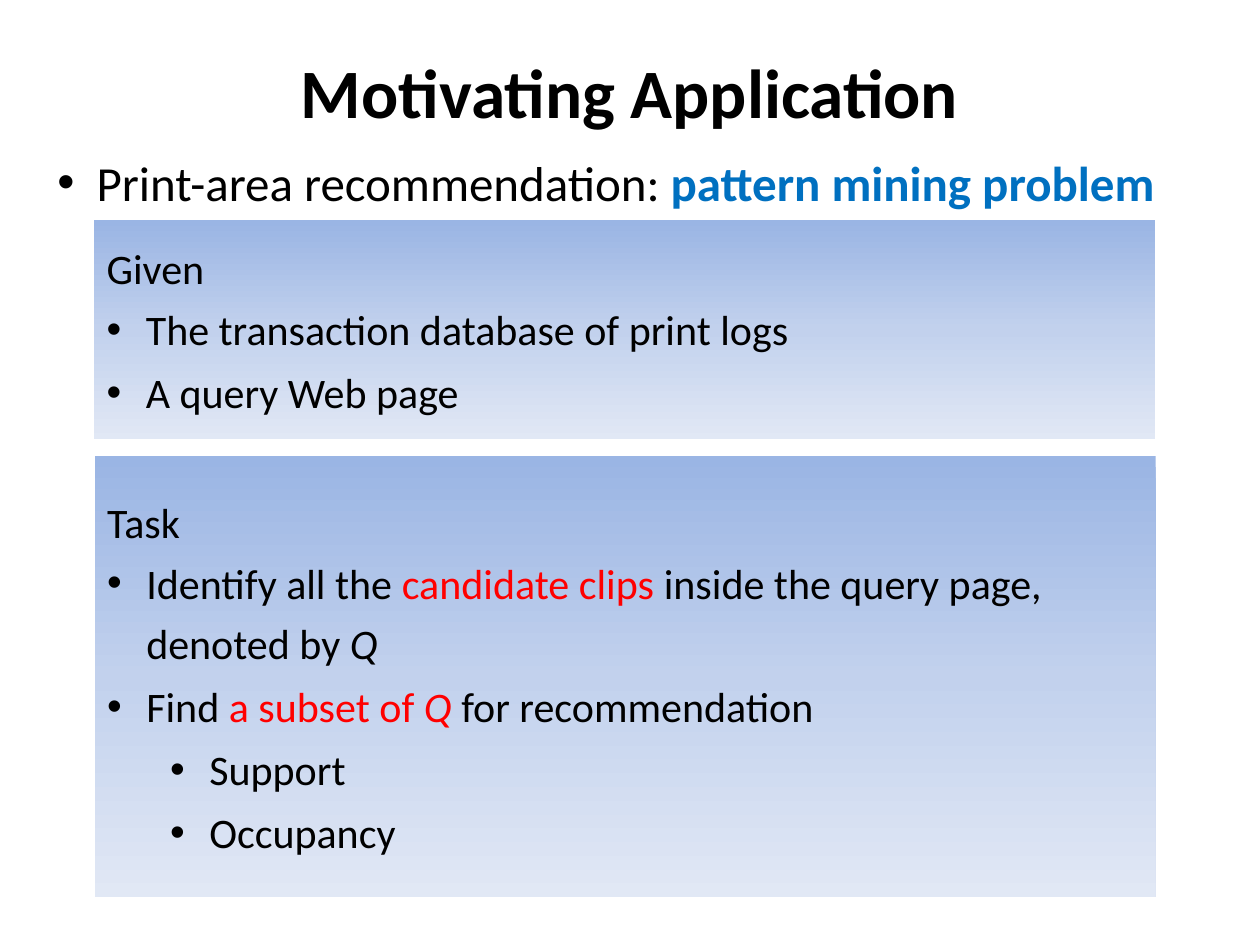
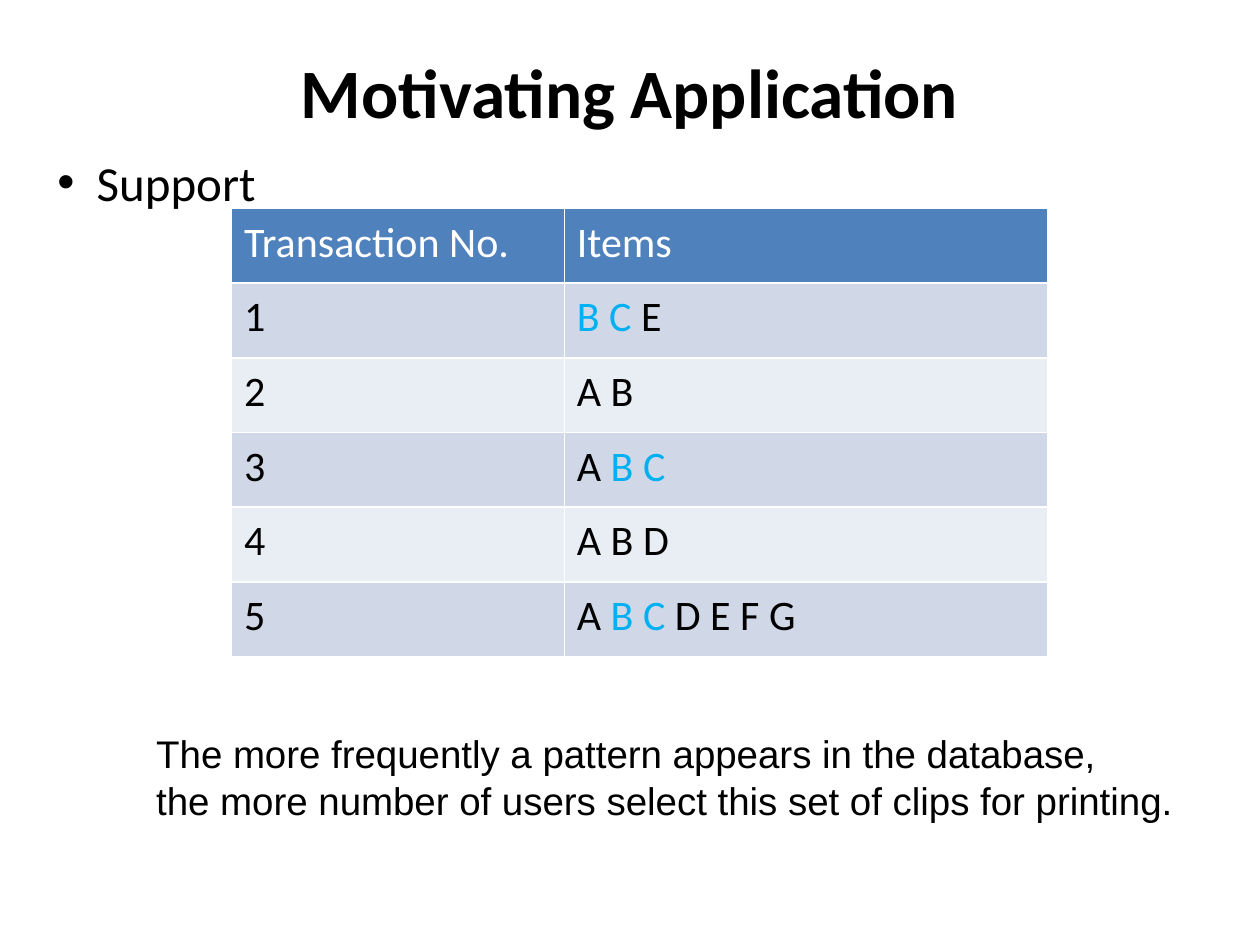
from copy import deepcopy

from lxml import etree
from pptx import Presentation
from pptx.dml.color import RGBColor
from pptx.enum import shapes, text
from pptx.oxml import ns
from pptx.util import Cm, Pt

COLORS = {
    "text": "000000",
    "white": "FFFFFF",
    "blue": "0070C0",
    "red": "FF0000",
    "cyan": "00B0F0",
    "header": "4F81BD",
    "odd_row": "D0D8E8",
    "even_row": "E9EDF4",
}
PANEL_GRADIENT = ["9AB5E4", "C2D1ED", "E1E8F5"]
TITLE_BOX = (0.91, 1.24, 23.57, 1.19)
BODY_BOX = (0.91, 2.95, 23.47, 12.85)
INDENT = 0.79
LEVEL_STEP = 1.27


def rgb(name):
    return RGBColor.from_string(COLORS[name])


def add_runs(paragraph, runs, size, font="Calibri"):
    """Each run is (words, color name, style), where style may hold b and i."""
    for words, color, style in runs:
        run = paragraph.add_run()
        run.text = words
        run.font.name = font
        run.font.size = Pt(size)
        run.font.bold = "b" in style
        run.font.italic = "i" in style
        run.font.color.rgb = rgb(color)


def plain(words, color="text"):
    return [(words, color, "")]


def add_bullet(paragraph, level=0):
    properties = paragraph._p.get_or_add_pPr()
    properties.set("marL", str(Cm(INDENT + level * LEVEL_STEP)))
    properties.set("indent", str(-Cm(INDENT)))
    etree.SubElement(properties, ns.qn("a:buFont"), typeface="Arial")
    etree.SubElement(properties, ns.qn("a:buChar"), char="•")


def add_text_frame(slide, box):
    frame = slide.shapes.add_textbox(*map(Cm, box)).text_frame
    frame.word_wrap = True
    return frame


def add_slide(presentation, title, topic_runs):
    """Blank slide with the shared title and its leading bullet."""
    slide = presentation.slides.add_slide(presentation.slide_layouts[6])
    title_frame = add_text_frame(slide, TITLE_BOX)
    title_frame.vertical_anchor = text.MSO_ANCHOR.MIDDLE
    heading = title_frame.paragraphs[0]
    heading.alignment = text.PP_ALIGN.CENTER
    add_runs(heading, [(title, "text", "b")], 39.6)

    topic = add_text_frame(slide, BODY_BOX).paragraphs[0]
    add_bullet(topic)
    add_runs(topic, topic_runs, 28)
    return slide


def fill_gradient(shape):
    shape.fill.gradient()
    shape.fill.gradient_angle = 270
    stop_list = shape._element.spPr.find(".//" + ns.qn("a:gsLst"))
    stop_list.append(deepcopy(stop_list[0]))
    for index, stop in enumerate(shape.fill.gradient_stops):
        stop.position = index / 2
        stop.color.rgb = RGBColor.from_string(PANEL_GRADIENT[index])


def add_panel(slide, box, heading, bullets):
    """Gradient panel; each bullet is (level, runs)."""
    panel = slide.shapes.add_shape(shapes.MSO_SHAPE.RECTANGLE, *map(Cm, box))
    panel.shadow.inherit = False
    panel.line.fill.background()
    fill_gradient(panel)
    frame = panel.text_frame
    frame.word_wrap = True
    frame.vertical_anchor = text.MSO_ANCHOR.MIDDLE
    frame.paragraphs[0].alignment = text.PP_ALIGN.LEFT
    add_runs(frame.paragraphs[0], plain(heading), 24)
    for level, runs in bullets:
        paragraph = frame.add_paragraph()
        paragraph.alignment = text.PP_ALIGN.LEFT
        paragraph.line_spacing = 1.2
        paragraph.space_after = Pt(1.4)
        add_bullet(paragraph, level)
        add_runs(paragraph, runs, 24)


def add_cell_borders(cell):
    properties = cell._tc.get_or_add_tcPr()
    for side in "LRTB":
        line = etree.SubElement(properties, ns.qn("a:ln" + side), w=str(Pt(1)))
        fill = etree.SubElement(line, ns.qn("a:solidFill"))
        etree.SubElement(fill, ns.qn("a:srgbClr"), val=COLORS["white"])


def add_transaction_table(slide, box, column_widths, header, transactions):
    rows = [[plain(label, "white") for label in header]]
    rows += [[plain(str(number)), items]
             for number, items in enumerate(transactions, 1)]
    frame = slide.shapes.add_table(len(rows), len(header), *map(Cm, box))
    table = frame.table
    table.first_row = table.horz_banding = False
    for column, width in zip(table.columns, column_widths):
        column.width = Cm(width)
    for row_index, row in enumerate(rows):
        band = "odd_row" if row_index % 2 else "even_row"
        for column_index, runs in enumerate(row):
            cell = table.cell(row_index, column_index)
            cell.margin_left = cell.margin_right = Cm(0.25)
            cell.margin_top = cell.margin_bottom = Cm(0.18)
            add_cell_borders(cell)
            cell.fill.solid()
            cell.fill.fore_color.rgb = rgb(band if row_index else "header")
            add_runs(cell.text_frame.paragraphs[0], runs, 24)


def add_note(slide, box, lines):
    frame = add_text_frame(slide, box)
    for index, line in enumerate(lines):
        paragraph = frame.add_paragraph() if index else frame.paragraphs[0]
        paragraph.alignment = text.PP_ALIGN.JUSTIFY
        add_runs(paragraph, plain(line), 22, "Arial")


def build_problem_slide(presentation, title):
    slide = add_slide(presentation, title, [
        ("Print-area recommendation: ", "text", ""),
        ("pattern mining problem", "blue", "b"),
    ])
    add_panel(slide, (1.9, 4.44, 21.39, 4.42), "Given", [
        (0, plain("The transaction database of print logs")),
        (0, plain("A query Web page")),
    ])
    add_panel(slide, (1.91, 9.2, 21.39, 8.89), "Task", [
        (0, [("Identify all the ", "text", ""),
             ("candidate clips", "red", ""),
             (" inside the query page, denoted by ", "text", ""),
             ("Q", "text", "i")]),
        (0, [("Find ", "text", ""),
             ("a subset of ", "red", ""),
             ("Q ", "red", "i"),
             ("for recommendation", "text", "")]),
        (1, plain("Support")),
        (1, plain("Occupancy")),
    ])


def build_support_slide(presentation, title):
    slide = add_slide(presentation, title, plain("Support"))
    pattern = ("B C", "cyan", "")
    add_transaction_table(
        slide, (4.67, 4.2, 16.46, 9.04), (6.71, 9.75),
        ("Transaction No.", "Items"),
        [
            [pattern, (" E", "text", "")],
            plain("A B"),
            [("A ", "text", ""), pattern],
            plain("A B D"),
            [("A ", "text", ""), pattern, (" D E F G", "text", "")],
        ])
    add_note(slide, (2.9, 14.6, 21.34, 3.84), [
        "The more frequently a pattern appears in the database, ",
        "the more number of users select this set of clips for printing.",
    ])


def main():
    presentation = Presentation()
    presentation.slide_width = Cm(25.4)
    presentation.slide_height = Cm(19.05)
    title = "Motivating Application"
    build_problem_slide(presentation, title)
    build_support_slide(presentation, title)
    presentation.save("out.pptx")


if __name__ == "__main__":
    main()
